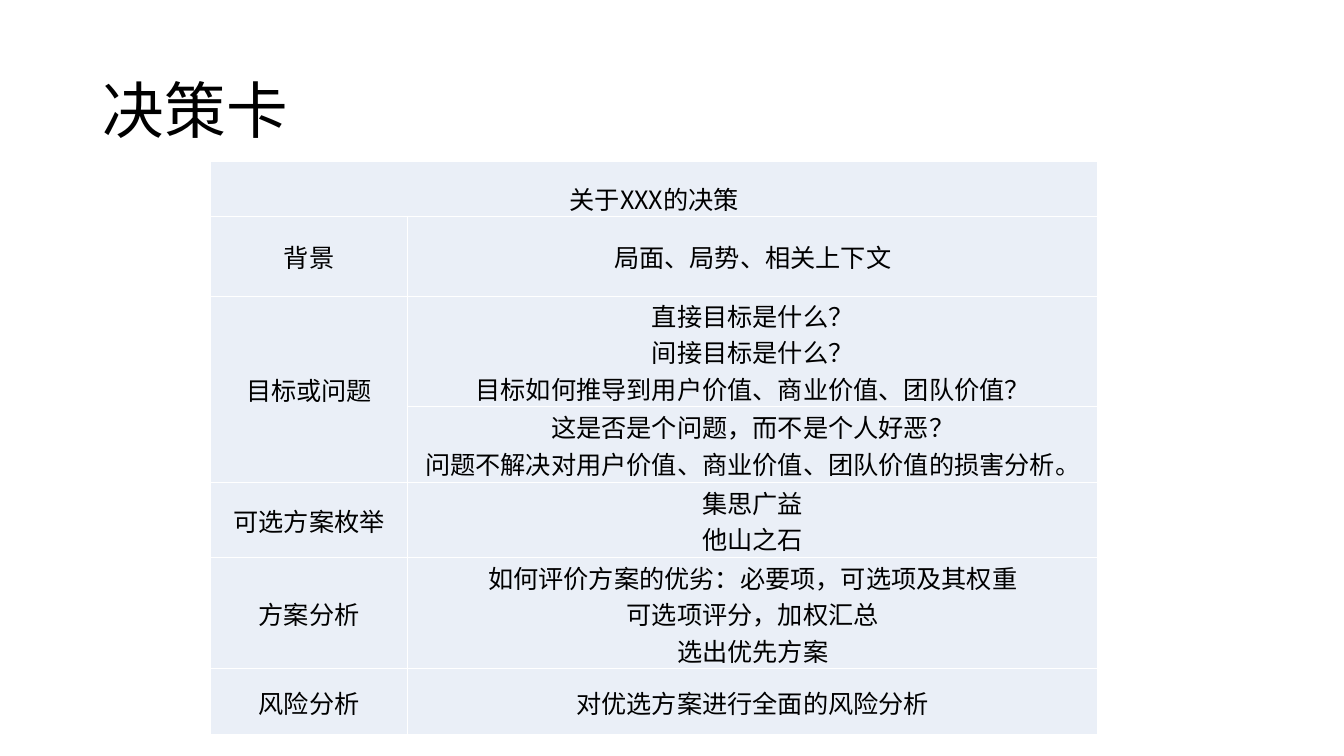
from dataclasses import dataclass

from lxml import etree
from pptx import Presentation
from pptx.dml.color import RGBColor
from pptx.enum.text import MSO_ANCHOR, MSO_AUTO_SIZE, PP_ALIGN
from pptx.oxml.ns import qn
from pptx.slide import Slide
from pptx.table import Table, _Cell
from pptx.text.text import TextFrame
from pptx.util import Inches, Pt

LEFT, CENTER = PP_ALIGN.LEFT, PP_ALIGN.CENTER
MIDDLE, BOTTOM = MSO_ANCHOR.MIDDLE, MSO_ANCHOR.BOTTOM
NO_FIT = MSO_AUTO_SIZE.NONE
WIDTH, HEIGHT = Inches(13.33), Inches(7.5)
TITLE_ONLY = 5


@dataclass(frozen=True)
class Theme:
    font: str = "Noto Sans CJK SC"
    ink: str = "000000"
    fill: str = "EAEFF7"
    rule: str = "FFFFFF"
    title: int = 44
    body: int = 18
    line: int = 1


@dataclass(frozen=True)
class Entry:
    share: float
    label: str
    lines: tuple[str, ...] = ()


THEME = Theme()
TITLE_BOX = (6.9, 5.33, 86.27, 19.33)
TABLE_AT = (15.68, 21.33)
COLUMNS = (14.63, 51.39)
ENTRIES = (
    Entry(7.33, "关于XXX的决策"),
    Entry(10.53, "背景", ("局面、局势、相关上下文",)),
    Entry(11.47, "目标或问题", (
        "直接目标是什么？",
        "间接目标是什么？",
        "目标如何推导到用户价值、商业价值、团队价值？",
    )),
    Entry(10, "", (
        "这是否是个问题，而不是个人好恶？",
        "问题不解决对用户价值、商业价值、团队价值的损害分析。",
    )),
    Entry(10, "可选方案枚举", ("集思广益", "他山之石")),
    Entry(11.33, "方案分析", (
        "如何评价方案的优劣：必要项，可选项及其权重",
        "可选项评分，加权汇总",
        "选出优先方案",
    )),
    Entry(8.8, "风险分析", ("对优选方案进行全面的风险分析",)),
)


def across(share: float) -> int:
    return round(WIDTH * share / 100)


def down(share: float) -> int:
    return round(HEIGHT * share / 100)


def style(frame: TextFrame, size: int, align: PP_ALIGN) -> None:
    for para in frame.paragraphs:
        para.alignment = align
        for run in para.runs:
            font = run.font
            font.size, font.name, font.bold = Pt(size), THEME.font, False
            font.color.rgb = RGBColor.from_string(THEME.ink)
            east = etree.SubElement(run._r.get_or_add_rPr(), qn("a:ea"))
            east.set("typeface", THEME.font)


def add_rules(cell: _Cell) -> None:
    props = cell._tc.get_or_add_tcPr()
    for side in ("lnL", "lnR", "lnT", "lnB"):
        line = etree.SubElement(props, qn(f"a:{side}"), w=str(Pt(THEME.line)))
        paint = etree.SubElement(line, qn("a:solidFill"))
        etree.SubElement(paint, qn("a:srgbClr"), val=THEME.rule)


def fill_cell(cell: _Cell, text: str, anchor: MSO_ANCHOR) -> None:
    add_rules(cell)
    cell.fill.solid()
    cell.fill.fore_color.rgb = RGBColor.from_string(THEME.fill)
    cell.margin_left = cell.margin_right = cell.margin_top = Inches(0.01)
    cell.margin_bottom = 0
    cell.vertical_anchor = anchor
    cell.text_frame.text = text
    style(cell.text_frame, THEME.body, CENTER)


def add_title(slide: Slide, text: str) -> None:
    title = slide.shapes.title
    left, top, width, height = TITLE_BOX
    title.left, title.top = across(left), down(top)
    title.width, title.height = across(width), down(height)
    frame = title.text_frame
    frame.text = text
    frame.auto_size, frame.vertical_anchor = NO_FIT, MIDDLE
    frame.paragraphs[0].line_spacing = 0.9
    style(frame, THEME.title, LEFT)


def add_card(slide: Slide) -> Table:
    left, top = TABLE_AT
    tall = sum(entry.share for entry in ENTRIES)
    table = slide.shapes.add_table(
        len(ENTRIES), len(COLUMNS),
        across(left), down(top), across(sum(COLUMNS)), down(tall),
    ).table
    table.first_row = table.horz_banding = False
    for column, share in zip(table.columns, COLUMNS):
        column.width = across(share)
    for index, entry in enumerate(ENTRIES):
        table.rows[index].height = down(entry.share)
        anchor = MIDDLE if entry.lines else BOTTOM
        fill_cell(table.cell(index, 0), entry.label, anchor)
        fill_cell(table.cell(index, 1), "\v".join(entry.lines), anchor)
        if not entry.lines:
            table.cell(index, 0).merge(table.cell(index, 1))
        if not entry.label:
            table.cell(index - 1, 0).merge(table.cell(index, 0))
    return table


def main() -> None:
    deck = Presentation()
    deck.slide_width, deck.slide_height = WIDTH, HEIGHT
    slide = deck.slides.add_slide(deck.slide_layouts[TITLE_ONLY])
    add_title(slide, "决策卡")
    add_card(slide)
    deck.save("out.pptx")


if __name__ == "__main__":
    main()
